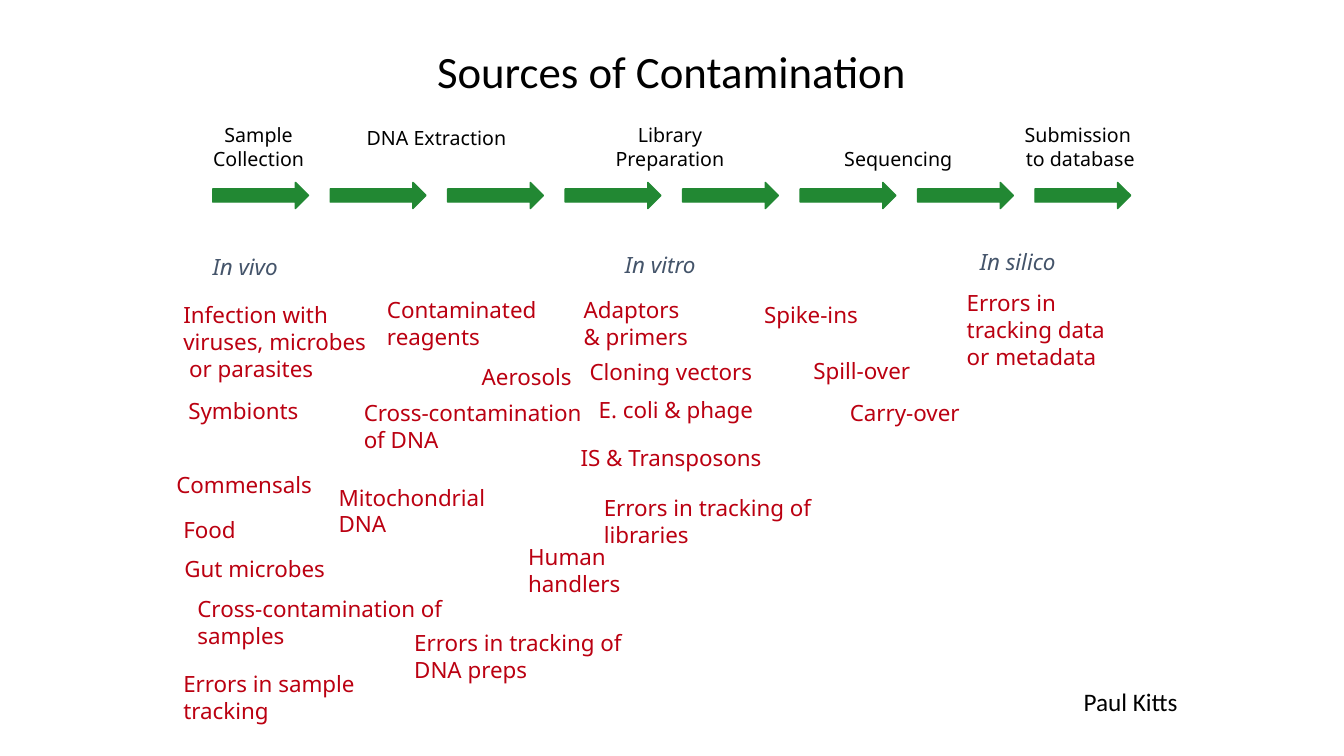
from pptx import Presentation
from pptx import util as u
from pptx.dml.color import RGBColor
from pptx.enum import shapes, text

COLORS = {"ink": "000000", "arrow": "228833", "setting": "44546A", "source": "BB0011"}
CELL = u.Inches(0.1)  # grid pitch for columns and rows

deck = Presentation()
deck.slide_width, deck.slide_height = u.Inches(13.33), u.Inches(7.5)
slide = deck.slides.add_slide(deck.slide_layouts[6])


def grid(*cells):
    return [round(cell * CELL) for cell in cells]


def add_label(words, col, row, cols, rows, size, color, font="Noto Sans",
              wrap=True, align=text.PP_ALIGN.LEFT, italic=False):
    frame = slide.shapes.add_textbox(*grid(col, row, cols, rows)).text_frame
    frame.word_wrap = wrap
    frame.auto_size = text.MSO_AUTO_SIZE.SHAPE_TO_FIT_TEXT
    frame.text = words
    for paragraph in frame.paragraphs:
        paragraph.alignment = align
        for run in paragraph.runs:
            run.font.name, run.font.size = font, u.Pt(size)
            run.font.italic = italic
            run.font.color.rgb = RGBColor.from_string(COLORS[color])
    return frame


# Title
title = add_label("Sources of Contamination", 23.5, 4, 86.2, 6.7, 32, "ink",
                  font="Calibri", align=text.PP_ALIGN.CENTER)
title.auto_size = text.MSO_AUTO_SIZE.NONE
title.vertical_anchor = text.MSO_ANCHOR.MIDDLE
title.paragraphs[0].line_spacing = 0.9

# Workflow arrows, evenly spaced
green = RGBColor.from_string(COLORS["arrow"])
for step in range(8):
    arrow = slide.shapes.add_shape(shapes.MSO_SHAPE.RIGHT_ARROW,
                                   *grid(21.1 + step * 11.65, 18.1, 9.5, 2.6))
    arrow.shadow.inherit = False
    arrow.fill.solid()
    arrow.fill.fore_color.rgb = green
    arrow.line.color.rgb = green
    arrow.line.width = u.Pt(1)

# Workflow stages above the arrows (\v breaks a line)
stages = [
    ("Sample\vCollection", 19.9, 11.7, 11.5, 5.7),
    ("DNA Extraction", 35, 12, 16.6, 3.4),
    ("Library\vPreparation", 60, 11.7, 12.9, 5.7),
    ("Sequencing", 82.6, 14.1, 13, 3.4),
    ("Submission \vto database", 100.4, 11.7, 13.5, 5.7),
]
for stage in stages:
    add_label(*stage, 14, "ink", wrap=False, align=text.PP_ALIGN.CENTER)

# Settings below the arrows
settings = [
    ("In vivo", 20.1, 24.6, 9.1),
    ("In vitro", 61, 24.4, 9.8),
    ("In silico", 96.2, 24.1, 10.2),
]
for setting in settings:
    add_label(*setting, 3.7, 16, "setting", wrap=False, italic=True)

# Contamination sources: words, column, row, width, number of lines
sources = [
    ("Infection with viruses, microbes\v or parasites", 17.2, 29.4, 22.1, 3),
    ("Symbionts", 17.7, 38.9, 16.3, 1),
    ("Commensals", 16.5, 46.3, 16.8, 1),
    ("Food", 17.2, 50.7, 13.2, 1),
    ("Gut microbes", 17.3, 54.6, 16.8, 1),
    ("Cross-contamination of samples", 18.6, 58.6, 26.3, 2),
    ("Errors in sample tracking", 17.2, 66, 24.4, 2),
    ("Contaminated reagents", 37.4, 28.9, 17.6, 2),
    ("Aerosols", 46.8, 35.5, 11.3, 1),
    ("Cross-contamination of DNA", 35.1, 39.1, 25.4, 2),
    ("Mitochondrial DNA", 32.6, 47.5, 18.5, 2),
    ("Human\nhandlers", 51.4, 53.4, 15.8, 2),
    ("Errors in tracking of DNA preps", 40.1, 61.9, 22.8, 2),
    ("Adaptors & primers", 56.9, 28.9, 13, 2),
    ("Cloning vectors", 57.5, 35, 22.7, 1),
    ("E. coli & phage", 58.4, 38.8, 23, 1),
    ("IS & Transposons", 56.6, 43.6, 22.1, 1),
    ("Errors in tracking of libraries", 58.9, 48.5, 22.8, 2),
    ("Spike-ins", 74.8, 29.4, 13.3, 1),
    ("Spill-over", 79.7, 34.9, 13.4, 1),
    ("Carry-over", 83.3, 39.1, 14.2, 1),
    ("Errors in tracking data or metadata", 94.9, 28.2, 17.6, 3),
]
for words, col, row, cols, lines in sources:
    add_label(words, col, row, cols, 1 + 2.7 * lines, 16, "source")

# Presenter
add_label("Paul Kitts", 106.5, 67.6, 24.4, 4, 18, "ink", font="Calibri")

deck.save("out.pptx")
